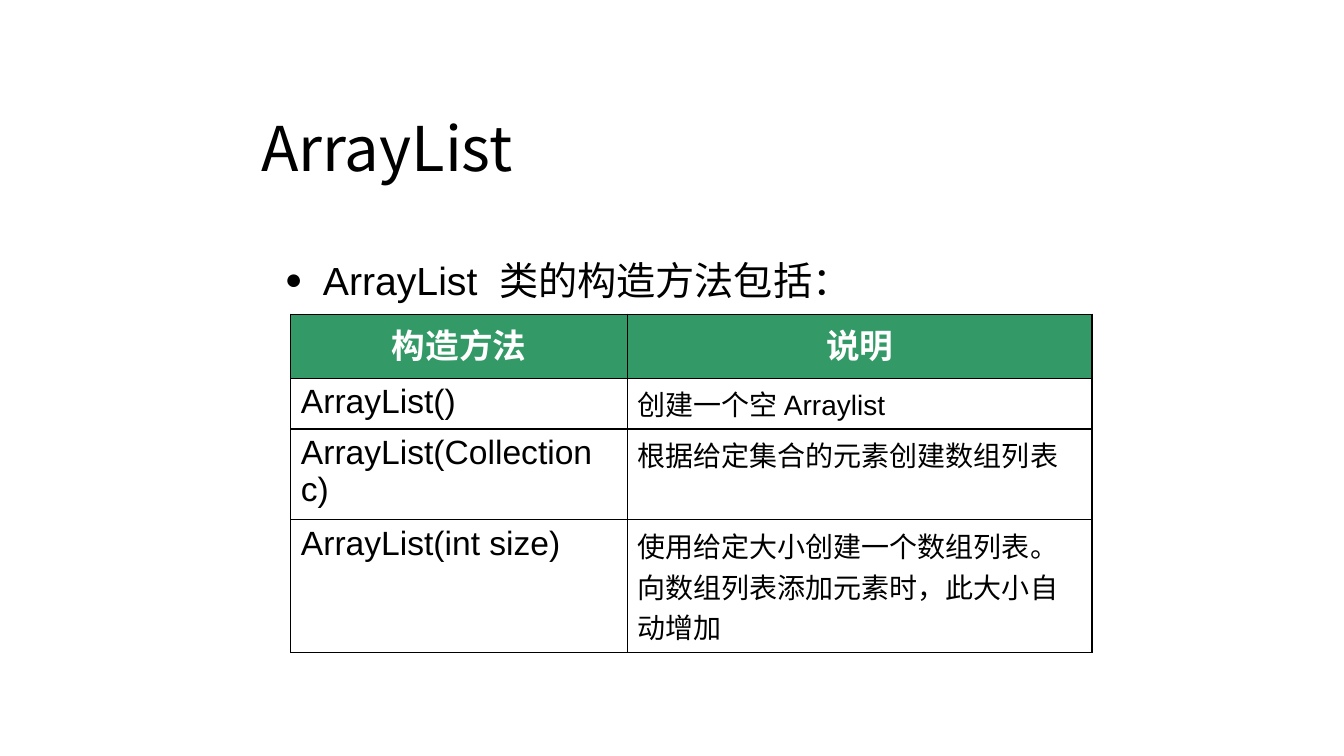
from lxml import etree
from pptx import Presentation
from pptx import util as u
from pptx.dml.color import RGBColor
from pptx.enum import text
from pptx.oxml.ns import qn

LATIN = "Arial"
CJK = "Noto Sans CJK JP"
BLACK, WHITE, GREEN = "000000", "FFFFFF", "339966"
COLUMN_WIDTHS = (8.48, 11.71)
ROW_HEIGHTS = (1.61, 1.28, 2.28, 3.34)
HEADINGS = ("构造方法", "说明")
CONSTRUCTORS = (
    ("ArrayList()", "创建一个空 Arraylist", text.PP_ALIGN.LEFT),
    ("ArrayList(Collection c)", "根据给定集合的元素创建数组列表", text.PP_ALIGN.JUSTIFY),
    ("ArrayList(int size)",
     "使用给定大小创建一个数组列表。向数组列表添加元素时，此大小自动增加", text.PP_ALIGN.LEFT),
)


def rgb(colour):
    return RGBColor.from_string(colour)


def add_run(paragraph, words, size, colour=BLACK, bold=False, font=LATIN):
    run = paragraph.add_run()
    run.text = words
    run.font.size = u.Pt(size)
    run.font.bold = bold
    run.font.name = font
    run.font.color.rgb = rgb(colour)
    etree.SubElement(run.font._element, qn("a:ea"), typeface=CJK)


def place_title(slide, words):
    title = slide.shapes.title
    title.left, title.top = u.Cm(6.33), u.Cm(2.72)
    title.width, title.height = u.Cm(22.86), u.Cm(2.21)
    frame = title.text_frame
    frame.auto_size = text.MSO_AUTO_SIZE.NONE
    frame.vertical_anchor = text.MSO_ANCHOR.MIDDLE
    paragraph = frame.paragraphs[0]
    paragraph.alignment = text.PP_ALIGN.LEFT
    paragraph.line_spacing = 0.9
    add_run(paragraph, words, 44, font=CJK)


def add_bullet(paragraph, mark, indent):
    properties = paragraph._p.get_or_add_pPr()
    properties.set("marL", str(indent))
    properties.set("indent", str(-indent))
    bullet_colour = etree.SubElement(properties, qn("a:buClr"))
    etree.SubElement(bullet_colour, qn("a:srgbClr"), val=BLACK)
    etree.SubElement(properties, qn("a:buSzPct"), val="75000")
    etree.SubElement(properties, qn("a:buFont"), typeface=LATIN)
    etree.SubElement(properties, qn("a:buChar"), char=mark)


def add_intro(slide, words):
    intro = slide.shapes.add_textbox(u.Cm(6.93), u.Cm(6.33), u.Cm(21.41), u.Cm(1.8))
    intro.text_frame.word_wrap = True
    paragraph = intro.text_frame.paragraphs[0]
    paragraph.space_before = u.Pt(5.6)
    add_bullet(paragraph, "●", u.Cm(0.96))
    add_run(paragraph, words, 28)


def add_borders(cell):
    properties = cell._tc.get_or_add_tcPr()
    for position, side in enumerate(("a:lnL", "a:lnR", "a:lnT", "a:lnB")):
        border = etree.Element(qn(side), w=str(u.Pt(1)))
        fill = etree.SubElement(border, qn("a:solidFill"))
        etree.SubElement(fill, qn("a:srgbClr"), val=BLACK)
        properties.insert(position, border)


def fill_cell(cell, words, size, alignment, heading=False):
    paragraph = cell.text_frame.paragraphs[0]
    paragraph.alignment = alignment
    if heading:
        cell.fill.solid()
        cell.fill.fore_color.rgb = rgb(GREEN)
        paragraph.space_before = u.Pt(4.8)
    else:
        cell.fill.background()
    add_run(paragraph, words, size, WHITE if heading else BLACK, heading)
    add_borders(cell)


def add_constructor_table(slide):
    table = slide.shapes.add_table(
        len(ROW_HEIGHTS), len(COLUMN_WIDTHS), u.Cm(7.33), u.Cm(7.92),
        u.Cm(sum(COLUMN_WIDTHS)), u.Cm(sum(ROW_HEIGHTS))).table
    table.first_row = table.horz_banding = False
    for column, width in zip(table.columns, COLUMN_WIDTHS):
        column.width = u.Cm(width)
    for row, height in zip(table.rows, ROW_HEIGHTS):
        row.height = u.Cm(height)
    for column, heading in enumerate(HEADINGS):
        fill_cell(table.cell(0, column), heading, 24, text.PP_ALIGN.CENTER, heading=True)
    for row, (constructor, description, alignment) in enumerate(CONSTRUCTORS, 1):
        fill_cell(table.cell(row, 0), constructor, 24, alignment)
        fill_cell(table.cell(row, 1), description, 20, alignment)


def main():
    deck = Presentation()
    deck.slide_width, deck.slide_height = u.Cm(33.87), u.Cm(19.05)
    slide = deck.slides.add_slide(deck.slide_layouts.get_by_name("Title Only"))
    place_title(slide, "ArrayList")
    add_intro(slide, "ArrayList  类的构造方法包括：")
    add_constructor_table(slide)
    deck.save("out.pptx")


if __name__ == "__main__":
    main()
